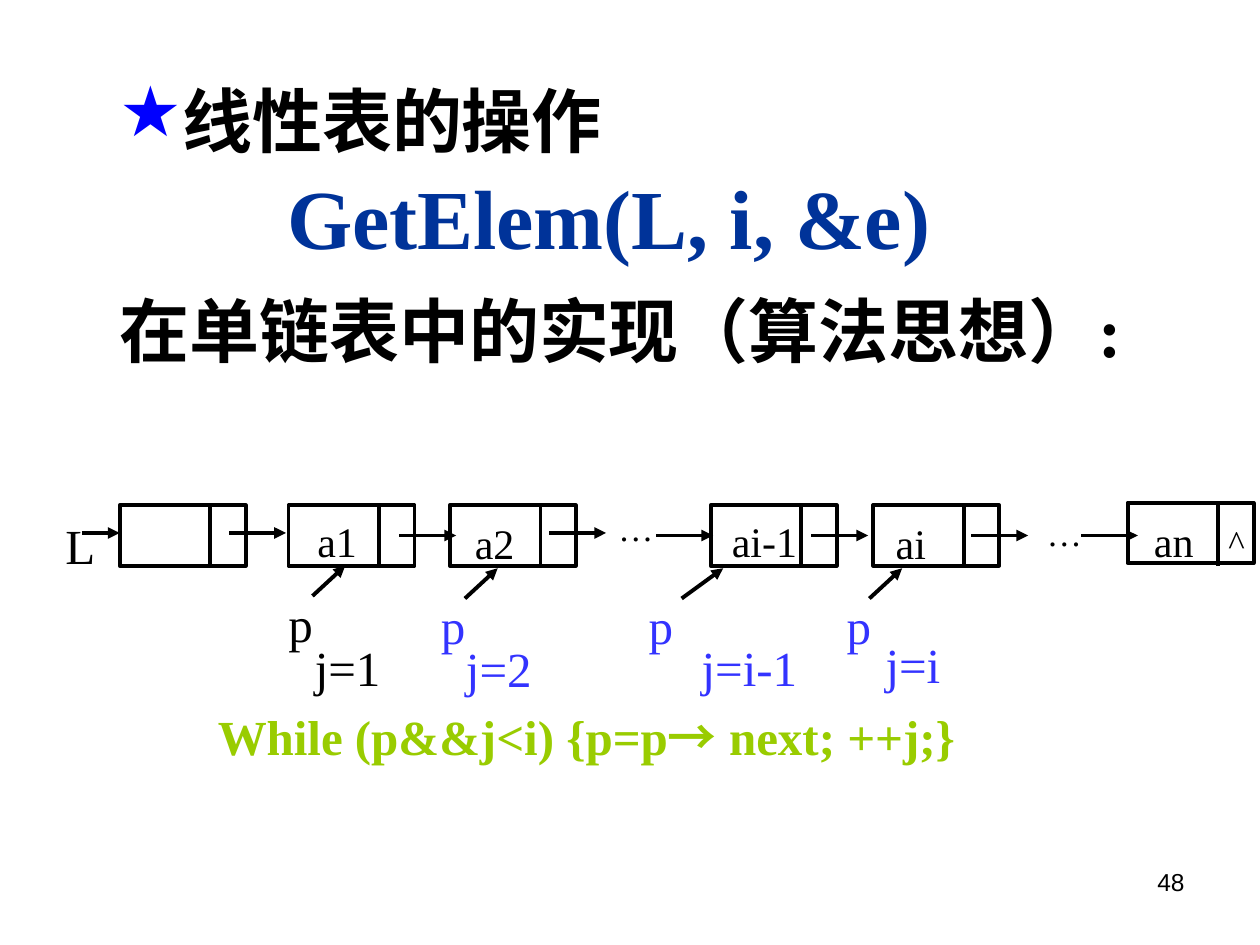
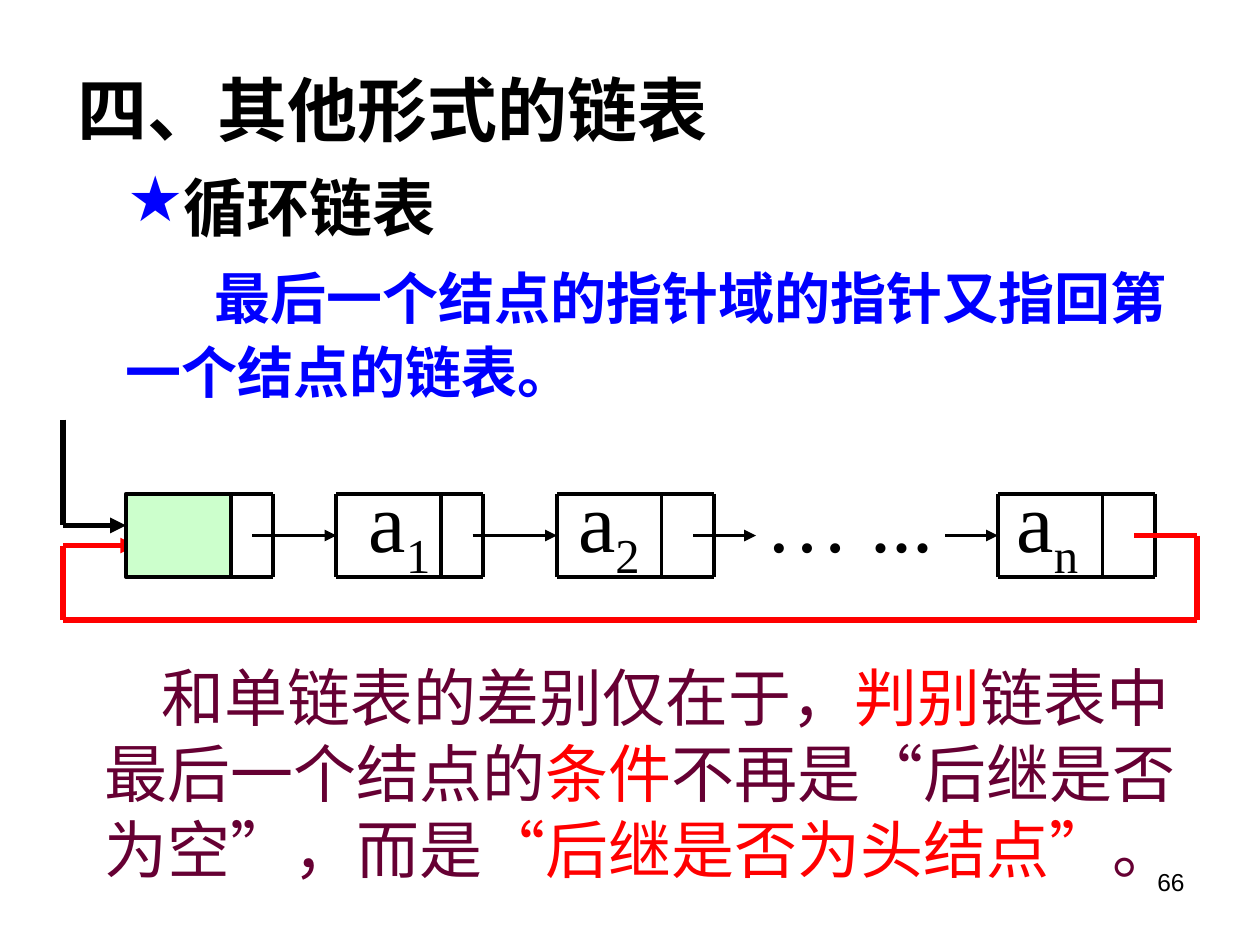
"""Build two slides on linked lists: element lookup and the circular list."""
from dataclasses import dataclass
from typing import NamedTuple

from lxml import etree
from pptx import Presentation
from pptx import util as u
from pptx.dml.color import RGBColor
from pptx.enum import shapes, text
from pptx.oxml import ns

PX = 9144
SERIF, SANS, CJK = "Times New Roman", "Arial", "Noto Sans CJK SC"
BLACK, RED, BLUE = "000000", "FF0000", "0000FF"
NAVY, VIOLET, LIME = "003399", "3333FF", "99CC00"
PLUM, MINT = "660033", "CCFFCC"
THIN, THICK = 2.25, 3


class Area(NamedTuple):
    """Place and size in px."""
    left: int
    top: int
    width: int
    height: int


class Point(NamedTuple):
    """Position in px."""
    x: int
    y: int


class Label(NamedTuple):
    """Short diagram text and where it stands."""
    words: str
    area: Area
    size: int


@dataclass(frozen=True)
class Step:
    """Pointer p with the counter value it has at one node."""
    tail: Point
    head: Point
    p_left: int
    counter: str
    counter_at: Area
    color: str = VIOLET


def emu(px: int) -> u.Emu:
    """Turn px into EMU."""
    return u.Emu(px * PX)


def paint(target, color: str) -> None:
    """Set a solid hex colour on a fill, line fill or font."""
    if hasattr(target, "solid"):
        target.solid()
        target.fore_color.rgb = RGBColor.from_string(color)
    else:
        target.color.rgb = RGBColor.from_string(color)


def add_frame(page, area: Area, *, wrap: bool = True):
    """Add an empty text box and return its text frame."""
    frame = page.shapes.add_textbox(*map(emu, area)).text_frame
    frame.word_wrap = wrap
    return frame


def shape_para(para, *, margin: int = 0, indent: int = 0, star: bool = False):
    """Give a paragraph its indents and star bullet."""
    props = para._p.get_or_add_pPr()
    props.set("marL", str(emu(margin)))
    props.set("indent", str(emu(indent)))
    if star:
        bullet_color = etree.SubElement(props, ns.qn("a:buClr"))
        etree.SubElement(bullet_color, ns.qn("a:srgbClr"), val=BLUE)
        etree.SubElement(props, ns.qn("a:buChar"), char="★")
    return para


def write(para, words: str, *, size: int, color: str = BLACK, bold: bool = False,
          font: str = SERIF, base: int = 0) -> None:
    """Append one formatted span to a paragraph."""
    span = para.add_run()
    span.text = words
    span.font.size = u.Pt(size)
    span.font.bold = bold
    span.font.name = font
    paint(span.font, color)
    props = span._r.get_or_add_rPr()
    etree.SubElement(props, ns.qn("a:ea"), typeface=CJK)
    if base:
        props.set("baseline", str(base * 1000))


def add_label(page, words: str, area: Area, **style) -> None:
    """Add a text box with a single span."""
    write(add_frame(page, area).paragraphs[0], words, **style)


def add_line(page, start: Point, end: Point, *, color: str = BLACK,
             weight: float = THIN, arrow: bool = False) -> None:
    """Draw a straight line, with an arrowhead at its end if asked."""
    line = page.shapes.add_connector(
        shapes.MSO_CONNECTOR.STRAIGHT, *map(emu, (*start, *end)))
    paint(line.line.fill, color)
    line.line.width = u.Pt(weight)
    if arrow:
        etree.SubElement(line.line._get_or_add_ln(), ns.qn("a:tailEnd"), type="triangle")
    etree.SubElement(line._element.spPr, ns.qn("a:effectLst"))


def add_path(page, points: list[Point], **style) -> None:
    """Draw joined lines that end in an arrowhead."""
    for start, end in zip(points, points[1:]):
        add_line(page, start, end, weight=THICK, arrow=end is points[-1], **style)


def add_cell(page, area: Area, fill: str = "") -> None:
    """Draw an outlined rectangle, filled if a colour is given."""
    cell = page.shapes.add_shape(shapes.MSO_SHAPE.RECTANGLE, *map(emu, area))
    cell.shadow.inherit = False
    if fill:
        paint(cell.fill, fill)
    else:
        cell.fill.background()
    paint(cell.line.fill, BLACK)
    cell.line.width = u.Pt(THIN)


def add_boxed_node(page, left: int, top: int) -> None:
    """Draw a node as a rectangle with a divider."""
    add_cell(page, Area(left, top, 100, 48))
    add_line(page, Point(left + 72, top), Point(left + 72, top + 50))


def add_ruled_node(page, left: int, right: int) -> None:
    """Draw a node from two rows and three upright lines."""
    top, bottom = 392, 458
    for y in (top, bottom):
        add_line(page, Point(left, y), Point(right, y))
    for x in (left, left + 83, right):
        add_line(page, Point(x, top), Point(x, bottom))


def add_step(page, step: Step) -> None:
    """Draw the pointer arrow, its letter and the counter."""
    add_line(page, step.tail, step.head, arrow=True)
    letter_at = Area(step.p_left, step.tail.y - 7, 41, 57)
    add_label(page, "p", letter_at, size=28, color=step.color)
    add_label(page, step.counter, step.counter_at, size=28, color=step.color)


def add_page(deck, number: int):
    """Add a blank page with its number."""
    page = deck.slides.add_slide(deck.slide_layouts[6])
    para = add_frame(page, Area(717, 683, 233, 52)).paragraphs[0]
    para.alignment = text.PP_ALIGN.RIGHT
    write(para, str(number), size=14, font=SANS)
    return page


def build_lookup(deck) -> None:
    """Show how GetElem walks along a singly linked list."""
    page = add_page(deck, 48)
    heading = add_frame(page, Area(85, 57, 855, 254))
    topic = shape_para(heading.paragraphs[0], margin=48, indent=-48, star=True)
    topic.space_after = u.Pt(2)
    write(topic, "线性表的操作", size=40, bold=True)
    call = shape_para(heading.add_paragraph(), margin=133)
    write(call, "GetElem(L, i, &e)", size=48, bold=True, color=NAVY)
    idea = heading.add_paragraph()
    idea.line_spacing = 1.25
    write(idea, "在单链表中的实现（算法思想）:", size=40, bold=True)

    for left, top in ((95, 401), (229, 401), (357, 401), (564, 401), (693, 401), (895, 399)):
        add_boxed_node(page, left, top)
    add_line(page, Point(65, 423), Point(95, 423), arrow=True)
    for x, y in ((182, 423), (317, 425), (436, 423), (521, 425),
                 (644, 425), (771, 425), (858, 425)):
        add_line(page, Point(x, y), Point(x + 45, y), arrow=True)
    for label in (
        Label("L", Area(42, 404, 40, 104), 28),
        Label("…", Area(481, 397, 52, 44), 20),
        Label("…", Area(821, 401, 52, 44), 20),
        Label("a1", Area(242, 404, 52, 50), 24),
        Label("a2", Area(367, 406, 52, 50), 24),
        Label("ai-1", Area(571, 404, 77, 50), 24),
        Label("ai", Area(701, 406, 52, 50), 24),
        Label("an", Area(906, 404, 52, 50), 24),
        Label("^", Area(965, 408, 30, 44), 20),
    ):
        add_label(page, label.words, label.area, size=label.size)

    for step in (
        Step(Point(248, 473), Point(274, 449), 219, "j=1", Area(240, 501, 76, 57), BLACK),
        Step(Point(369, 475), Point(395, 451), 340, "j=2", Area(360, 502, 76, 57)),
        Step(Point(541, 475), Point(574, 451), 505, "j=i-1", Area(547, 501, 98, 57)),
        Step(Point(690, 475), Point(716, 451), 662, "j=i", Area(693, 499, 76, 57)),
    ):
        add_step(page, step)

    loop = add_frame(page, Area(163, 556, 661, 57)).paragraphs[0]
    for words, font in (("While (p&&j<i) {p=p", SERIF), ("→", CJK), (" next; ++j;}", SERIF)):
        write(loop, words, size=28, bold=True, color=LIME, font=font)


def build_circular(deck) -> None:
    """Show the circular list and its end test."""
    page = add_page(deck, 66)
    add_label(page, "四、其他形式的链表", Area(52, 48, 822, 77), size=40, bold=True)
    topic = add_frame(page, Area(91, 129, 265, 70), wrap=False).paragraphs[0]
    write(shape_para(topic, margin=43, indent=-43, star=True), "循环链表", size=36, bold=True)
    meaning = shape_para(add_frame(page, Area(90, 199, 879, 128)).paragraphs[0], indent=70)
    meaning.line_spacing = 1.1
    write(meaning, "最后一个结点的指针域的指针又指回第一个结点的链表。",
          size=32, bold=True, color=BLUE)

    for words, index, left in (("a", "1", 283), ("a", "2", 449),
                               ("… ...", "", 598), ("a", "n", 797)):
        item = add_frame(page, Area(left, 367, 190, 83)).paragraphs[0]
        write(item, words, size=48)
        if index:
            write(item, index, size=48, base=-25)

    for left, right in ((100, 217), (267, 383), (442, 567), (792, 917)):
        add_ruled_node(page, left, right)
    for start, end in ((200, 267), (375, 442), (550, 600), (750, 792)):
        add_line(page, Point(start, 425), Point(end, 425), arrow=True)
    add_path(page, [Point(50, 333), Point(50, 417), Point(100, 417)])
    add_path(page, [Point(900, 425), Point(950, 425), Point(950, 492), Point(50, 492),
                    Point(50, 433), Point(108, 433)], color=RED)
    add_cell(page, Area(100, 392, 83, 66), MINT)

    remark = shape_para(add_frame(page, Area(73, 518, 893, 190)).paragraphs[0], indent=45)
    for words, color in (
        ("和单链表的差别仅在于，", PLUM),
        ("判别", RED),
        ("链表中最后一个结点的", PLUM),
        ("条件", RED),
        ("不再是“后继是否为空”，而是", PLUM),
        ("“后继是否为头结点”", RED),
        ("。", PLUM),
    ):
        write(remark, words, size=36, color=color)


def main() -> None:
    """Build and save the deck."""
    deck = Presentation()
    deck.slide_width, deck.slide_height = emu(1000), emu(750)
    build_lookup(deck)
    build_circular(deck)
    deck.save("out.pptx")


if __name__ == "__main__":
    main()
